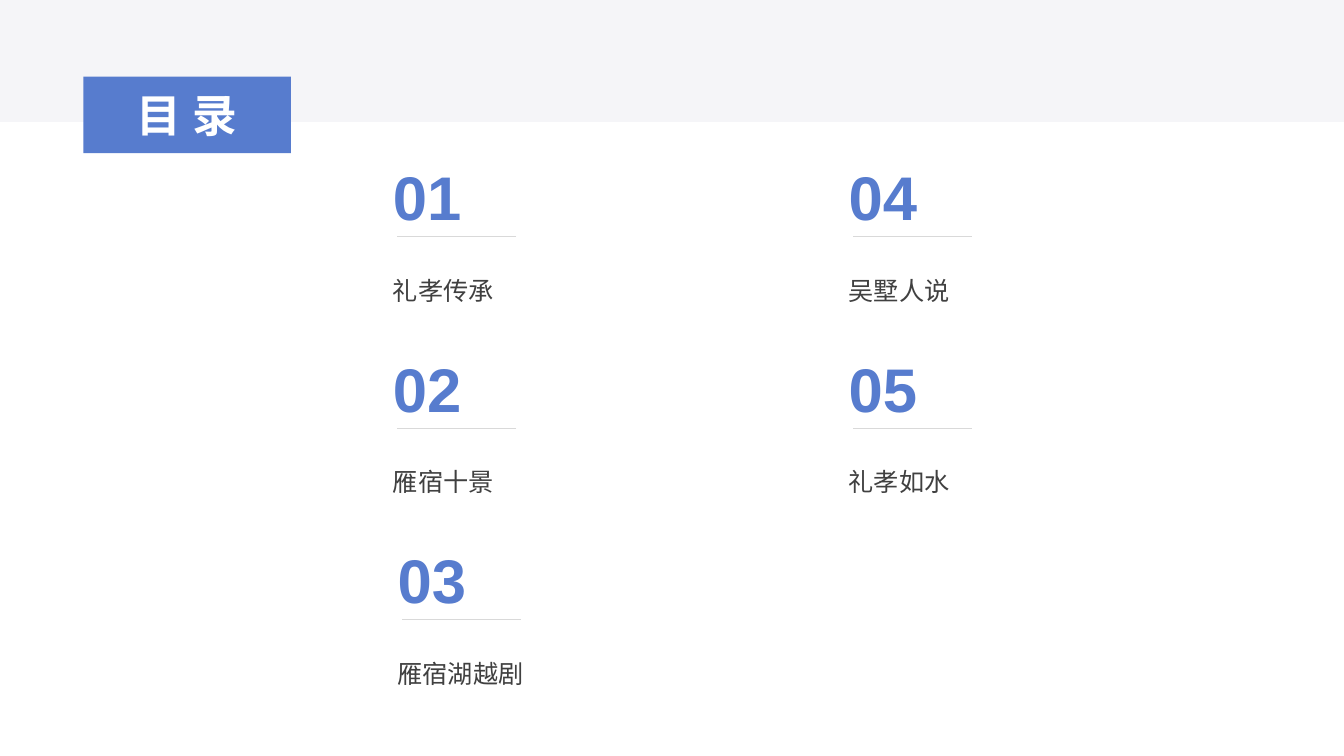
from pptx import Presentation
from pptx.dml.color import RGBColor
from pptx.enum.shapes import MSO_CONNECTOR, MSO_SHAPE
from pptx.enum.text import MSO_ANCHOR, PP_ALIGN
from pptx.oxml.ns import qn
from pptx.util import Inches, Pt
from lxml.etree import SubElement

BLUE = RGBColor(0x57, 0x7C, 0xCE)
PALE = RGBColor(0xF5, 0xF5, 0xF8)
GRAY = RGBColor(0xD9, 0xD9, 0xD9)
DARK = RGBColor(0x40, 0x40, 0x40)
WHITE = RGBColor(0xFF, 0xFF, 0xFF)

# Grid of the contents, in percent of the slide's size
LEFT, TOP = 28.5, 20.4
COL, ROW = 33.9, 25.33

# Number, title, column, row
ITEMS = [
    ("01", "礼孝传承", 0, 0),
    ("02", "雁宿十景", 0, 1),
    ("03", "雁宿湖越剧", 0.01, 2),
    ("04", "吴墅人说", 1, 0),
    ("05", "礼孝如水", 1, 1),
]


class Deck:
    """Holds the style and the current slide; lengths are percent of its size."""

    font = "Arial"

    def __init__(self):
        self.file = Presentation()
        self.file.slide_width = Inches(13.33)
        self.file.slide_height = Inches(7.5)
        self.slide = self.file.slides.add_slide(self.file.slide_layouts[6])

    def scale(self, x, y):
        return (round(self.file.slide_width * x / 100),
                round(self.file.slide_height * y / 100))

    def rect(self, x, y, w, h, fill):
        box = self.slide.shapes.add_shape(
            MSO_SHAPE.RECTANGLE, *self.scale(x, y), *self.scale(w, h))
        box.shadow.inherit = False
        box.fill.solid()
        box.fill.fore_color.rgb = fill
        box.line.fill.background()
        return box

    def text(self, x, y, w, h):
        box = self.slide.shapes.add_textbox(
            *self.scale(x, y), *self.scale(w, h))
        box.text_frame.word_wrap = True
        return box

    def add_run(self, box, words, size, color, bold=False):
        """Adds a run to the first paragraph; returns both."""
        para = box.text_frame.paragraphs[0]
        run = para.add_run()
        run.text = words
        run.font.name = self.font
        run.font.size = Pt(size)
        run.font.bold = bold
        run.font.color.rgb = color
        return para, run

    def rule(self, x, y, w):
        line = self.slide.shapes.add_connector(
            MSO_CONNECTOR.STRAIGHT, *self.scale(x + w, y), *self.scale(x, y))
        line.line.color.rgb = GRAY
        line.line.width = Pt(0.5)
        SubElement(line._element.spPr, qn("a:effectLst"))

    def item(self, num, title, col, row):
        x, y = LEFT + col * COL, TOP + row * ROW
        self.add_run(self.text(x, y, 6.7, 11.2), num, 44, BLUE, True)
        self.rule(x + 1.05, y + 10.9, 8.85)
        para, _ = self.add_run(
            self.text(x, y + 13.3, 26.56, 8.9), title, 18, DARK)
        para.alignment = PP_ALIGN.JUSTIFY
        para.line_spacing = 1.5
        para.space_after = Pt(20)

    def tag(self, words):
        box = self.rect(6.2, 10.13, 15.45, 10.13, BLUE)
        box.text_frame.vertical_anchor = MSO_ANCHOR.MIDDLE
        para, run = self.add_run(box, words, 32, WHITE, True)
        para.alignment = PP_ALIGN.CENTER
        run.font._element.set("spc", "800")


def main():
    deck = Deck()
    deck.rect(0, 0, 100, 16.13, PALE)
    for item in ITEMS:
        deck.item(*item)
    deck.tag("目录")
    deck.file.save("out.pptx")


if __name__ == "__main__":
    main()
